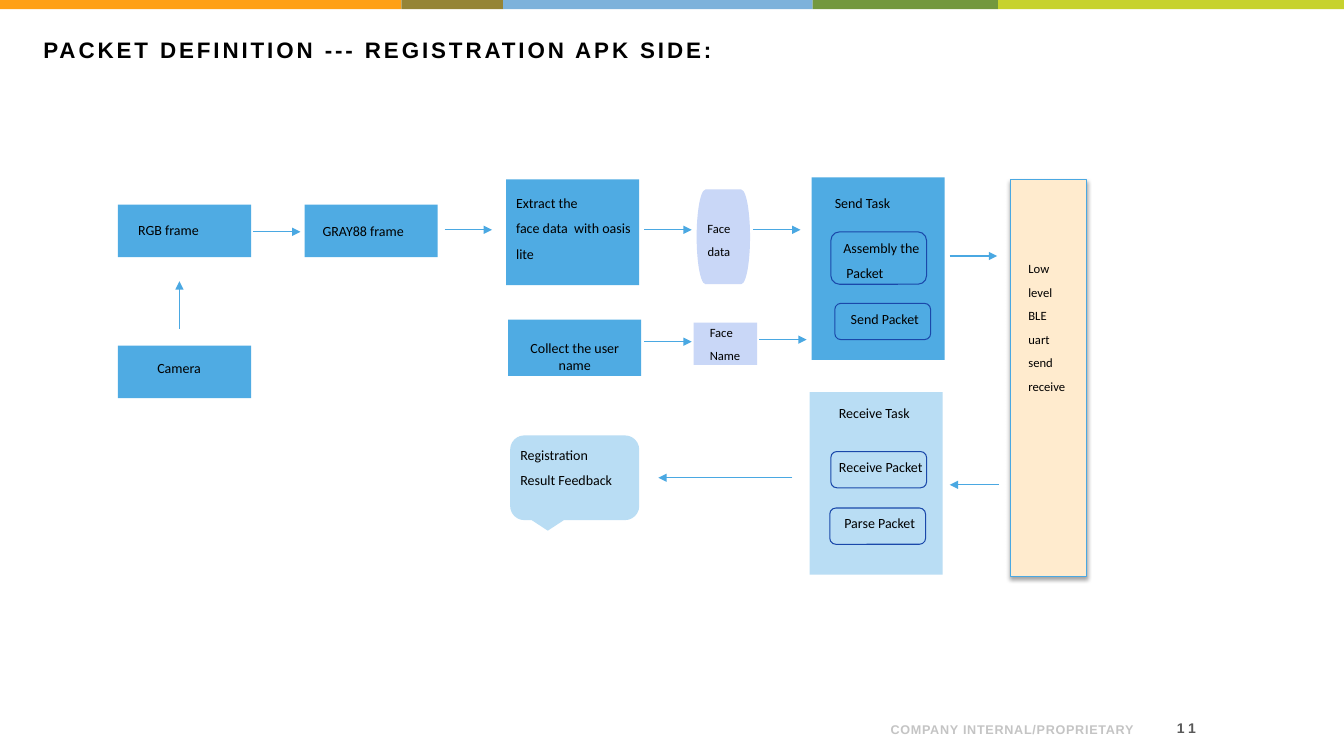
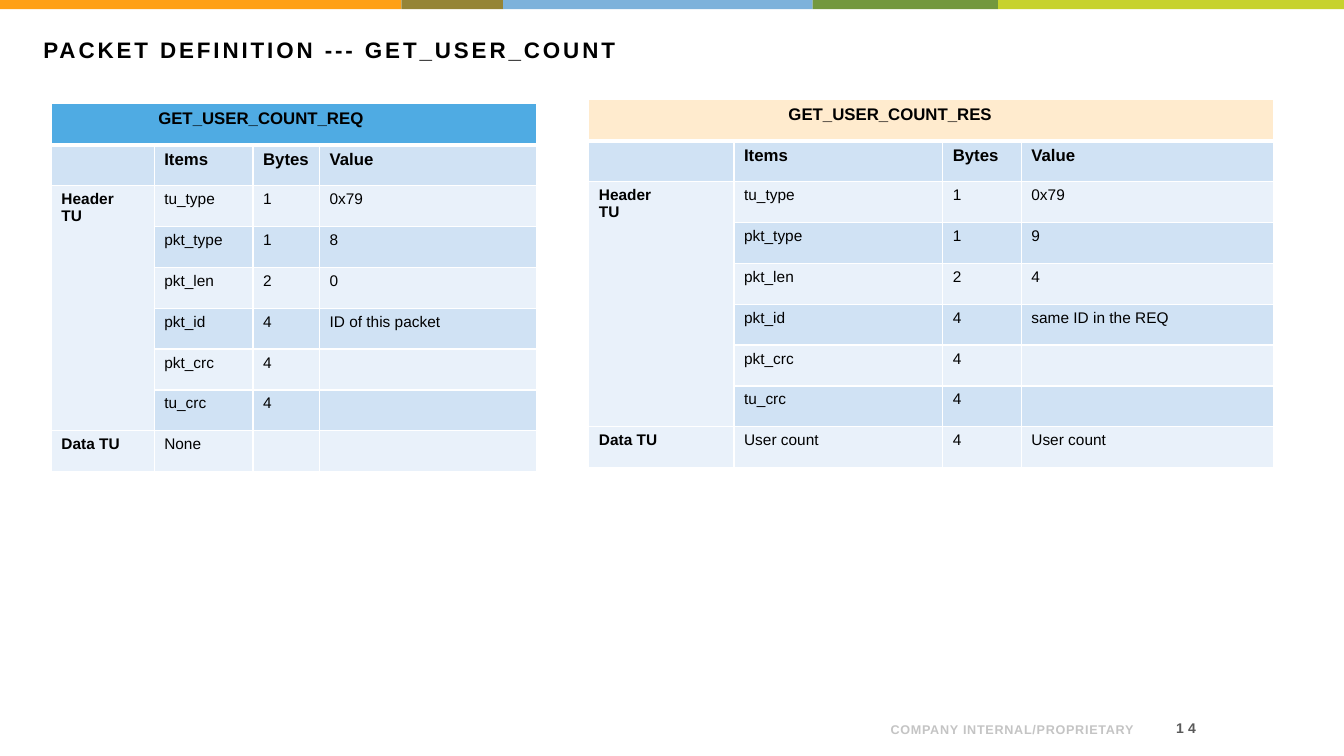
from lxml import etree
from pptx import Presentation
from pptx.dml.color import RGBColor
from pptx.enum.shapes import MSO_CONNECTOR, MSO_SHAPE
from pptx.enum.text import MSO_ANCHOR, MSO_AUTO_SIZE, PP_ALIGN
from pptx.oxml.ns import qn
from pptx.util import Emu, Inches, Pt

RECTANGLE = MSO_SHAPE.RECTANGLE
ROUNDED = MSO_SHAPE.ROUNDED_RECTANGLE
DRUM = MSO_SHAPE.FLOWCHART_DIRECT_ACCESS_STORAGE
CALLOUT = MSO_SHAPE.ROUNDED_RECTANGULAR_CALLOUT
STRAIGHT = MSO_CONNECTOR.STRAIGHT
LEFT, CENTER, RIGHT = PP_ALIGN.LEFT, PP_ALIGN.CENTER, PP_ALIGN.RIGHT
TOP, MIDDLE, BOTTOM = MSO_ANCHOR.TOP, MSO_ANCHOR.MIDDLE, MSO_ANCHOR.BOTTOM
NO_AUTOFIT = MSO_AUTO_SIZE.NONE

ROWS = 75
SLIDE_WIDTH, SLIDE_HEIGHT = Inches(13.33), Inches(7.5)
CELL = SLIDE_HEIGHT / ROWS
TITLE_ONLY = 5

BLUE, PALE_BLUE, LILAC, CREAM = "4FABE3", "B9DDF4", "C9D7F7", "FFEBCE"
ARROW, NAVY = "4AA8E2", "1A48AA"
BLACK, WHITE, GRAY, LIGHT_GRAY = "000000", "FFFFFF", "595959", "C4C4C4"
ROW_FILLS = ("E9F1FA", "D0E2F4")
BAND = (("FFA015", 39.8), ("958436", 10.1), ("7DB2DB", 30.7),
        ("73983E", 18.4), ("C7D22D", 34.4))

FLOW_NODES = (
    (RECTANGLE, (11.7, 20.3, 13.2, 5.2), BLUE, ["RGB frame"], (2, 1.7)),
    (RECTANGLE, (11.7, 34.3, 13.2, 5.2), BLUE, ["Camera"], (3.9, 1.4)),
    (RECTANGLE, (30.2, 20.3, 13.2, 5.2), BLUE, ["GRAY88 frame"], (1.8, 1.8)),
    (RECTANGLE, (50.2, 17.8, 13.2, 10.5), BLUE,
     ["Extract the", "face data  with oasis", "lite"], (1, 1.5)),
    (RECTANGLE, (80.5, 17.6, 13.2, 18.1), BLUE, ["Send Task"], (2.3, 1.7)),
    (RECTANGLE, (80.3, 38.9, 13.2, 18.1), PALE_BLUE, ["Receive Task"], (2.9, 1.2)),
    (CALLOUT, (50.6, 43.2, 12.8, 8.4), PALE_BLUE,
     ["Registration", "Result Feedback"], (0.6, 0.7)),
    (ROUNDED, (82.4, 23, 9.5, 5.2), None, ["Assembly the", " Packet"], (1, 0.5)),
)
PACKET_STEPS = ((82.8, 30.1, "Send Packet"), (82.4, 44.8, "Receive Packet"),
                (82.3, 50.4, "Parse Packet"))
ARROW_LENGTH = 4.7
RIGHT_ARROWS = ((25.1, 23), (44.1, 22.8), (63.9, 22.8), (74.7, 22.8),
                (63.9, 33.9), (75.3, 33.7), (94.2, 25.4))

FIELDS = ("tu_type", "pkt_type", "pkt_len", "pkt_id", "pkt_crc", "tu_crc")
FIELD_BYTES = ("1", "1", "2", "4", "4", "4")


def grid(cells):
    """Turn a number of grid cells into a length."""
    return Emu(round(cells * CELL))


def color(hex_string):
    """Turn a hex string into a colour."""
    return RGBColor.from_string(hex_string)


def write(frame, lines, size, font="Arial", text_color=BLACK, bold=False,
          align=LEFT, before=0, spacing=0):
    """Write one paragraph per line into a text frame."""
    for index, line in enumerate(lines):
        paragraph = frame.add_paragraph() if index else frame.paragraphs[0]
        paragraph.alignment = align
        paragraph.space_before = Pt(before)
        run = paragraph.add_run()
        run.text = line
        run.font.name, run.font.size, run.font.bold = font, Pt(size), bold
        run.font.color.rgb = color(text_color)
        if spacing:
            run._r.get_or_add_rPr().set("spc", str(round(spacing * 100)))


def add_block(slide, kind, box, fill=None, line=None):
    """Add a flat preset shape."""
    shape = slide.shapes.add_shape(kind, *map(grid, box))
    shape.shadow.inherit = False
    if fill:
        shape.fill.solid()
        shape.fill.fore_color.rgb = color(fill)
    else:
        shape.fill.background()
    if line:
        shape.line.color.rgb = color(line)
        shape.line.width = Pt(0.75)
    else:
        shape.line.fill.background()
    return shape


def add_node(slide, kind, box, fill, lines, inset, line=None, size=10,
             align=LEFT, before=6, right=0):
    """Add a diagram shape whose text starts at the inset."""
    shape = add_block(slide, kind, box, fill, line)
    frame = shape.text_frame
    frame.word_wrap = True
    frame.vertical_anchor = TOP
    frame.margin_left, frame.margin_top = map(grid, inset)
    frame.margin_right, frame.margin_bottom = grid(right), 0
    write(frame, lines, size, "Calibri", align=align, before=before)
    return shape


def add_label(slide, box, text, anchor, size, text_color, spacing):
    """Add a bold right-aligned footer text."""
    shape = slide.shapes.add_textbox(*map(grid, box))
    frame = shape.text_frame
    frame.word_wrap = True
    frame.vertical_anchor = anchor
    write(frame, [text], size, text_color=text_color, bold=True, align=RIGHT,
          spacing=spacing)
    return shape


def add_arrow(slide, start, end):
    """Add a straight arrow between two grid points."""
    connector = slide.shapes.add_connector(STRAIGHT, *map(grid, start + end))
    connector.line.color.rgb = color(ARROW)
    connector.line.width = Pt(0.75)
    properties = connector.element.spPr
    etree.SubElement(properties.find(qn("a:ln")), qn("a:tailEnd"), type="triangle")
    etree.SubElement(properties, qn("a:effectLst"))


def add_drop_shadow(shape):
    """Give a shape a soft shadow below it."""
    effects = shape.element.spPr.find(qn("a:effectLst"))
    shadow = etree.SubElement(effects, qn("a:outerShdw"), blurRad=str(Pt(3.1)),
                              dist=str(Pt(1.8)), dir="5400000", rotWithShape="0")
    tint = etree.SubElement(shadow, qn("a:srgbClr"), val=BLACK)
    etree.SubElement(tint, qn("a:alpha"), val="35000")


def prepare_layout(presentation):
    """Put the title place, colour band and footer on the layout."""
    layout = presentation.slide_layouts[TITLE_ONLY]
    for placeholder in list(layout.placeholders):
        if placeholder.placeholder_format.idx:
            placeholder.element.getparent().remove(placeholder.element)
            continue
        placeholder.left, placeholder.top = grid(3.3), grid(3.1)
        placeholder.width, placeholder.height = grid(125.3), grid(7.2)
        placeholder.text_frame.vertical_anchor = TOP
    slide = presentation.slides.add_slide(layout)
    parts, left = [], 0
    for fill, width in BAND:
        parts.append(add_block(slide, RECTANGLE, (left, 0, width, 0.9), fill))
        left += width
    parts.append(add_label(slide, (85.1, 70.2, 28.3, 3.4),
                           "COMPANY INTERNAL/PROPRIETARY", BOTTOM, 9, LIGHT_GRAY, 0.5))
    for number, part in enumerate(parts, start=20):
        part.element.nvSpPr.cNvPr.set("id", str(number))
        layout.element.cSld.spTree.append(part.element)
    return layout, slide


def add_heading(slide, title, number):
    """Fill in the title and the page number."""
    frame = slide.shapes.title.text_frame
    frame.auto_size = NO_AUTOFIT
    write(frame, [title], 16, bold=True, spacing=2.1)
    label = add_label(slide, (112.8, 70.7, 6.5, 3), number, MIDDLE, 10, GRAY, 3)
    frame = label.text_frame
    frame.margin_left = frame.margin_right = grid(0.7)
    frame.margin_top = frame.margin_bottom = grid(0.4)


def set_borders(cell, bottom):
    """Draw white cell borders with the given bottom width."""
    properties = cell._tc.get_or_add_tcPr()
    for index, side in enumerate(("lnL", "lnR", "lnT", "lnB")):
        width = bottom if side == "lnB" else 1
        border = etree.Element(qn("a:" + side), w=str(Pt(width)))
        fill = etree.SubElement(border, qn("a:solidFill"))
        etree.SubElement(fill, qn("a:srgbClr"), val=WHITE)
        properties.insert(index, border)


def add_packet_table(slide, origin, widths, name, name_inset, name_fill, values, data):
    """Add a table that defines the fields of one packet."""
    rows = [(name, "", "", ""), ("", "Items", "Bytes", "Value")]
    rows += [("" if index else "Header\nTU", *field)
             for index, field in enumerate(zip(FIELDS, FIELD_BYTES, values))]
    rows.append(("Data TU", *data))
    box = (*origin, sum(widths), 36.5)
    table = slide.shapes.add_table(len(rows), len(widths), *map(grid, box)).table
    table.first_row = table.horz_banding = False
    for column, width in zip(table.columns, widths):
        column.width = grid(width)
    for row_index, row in enumerate(rows):
        heading = row_index < 2
        for column_index, text in enumerate(row):
            cell = table.cell(row_index, column_index)
            cell.fill.solid()
            cell.fill.fore_color.rgb = color(
                ROW_FILLS[row_index % 2] if row_index else name_fill)
            set_borders(cell, 1 if row_index else 3)
            if text:
                write(cell.text_frame, text.split("\n"), 12 if heading else 11,
                      bold=heading or column_index == 0)
    table.cell(0, 0).margin_left = grid(name_inset)
    table.cell(0, 0).merge(table.cell(0, len(widths) - 1))
    table.cell(2, 0).merge(table.cell(1 + len(FIELDS), 0))


def build_registration(slide):
    """Draw the registration flow."""
    add_heading(slide, "PACKET DEFINITION --- REGISTRATION APK SIDE:", "11")
    for kind, box, fill, lines, inset in FLOW_NODES:
        add_node(slide, kind, box, fill, lines, inset, None if fill else NAVY)
    add_node(slide, RECTANGLE, (50.4, 31.7, 13.2, 5.6), BLUE,
             ["Collect the user name"], (2, 2), align=CENTER, before=0, right=2)
    add_node(slide, DRUM, (69.1, 18.8, 5.3, 9.4), LILAC, ["Face", "data"],
             (0, 3.1), size=9, align=CENTER)
    add_node(slide, RECTANGLE, (68.8, 32, 6.3, 4.2), LILAC, ["Face", "Name"],
             (1.6, 0.2), size=9)
    for left, top, text in PACKET_STEPS:
        add_node(slide, ROUNDED, (left, top, 9.5, 3.6), None, [text],
                 (0.4, 0.5), NAVY, align=CENTER)
    transport = add_node(slide, RECTANGLE, (100.2, 17.8, 7.6, 39.4), CREAM,
                         ["Low", "level", "BLE", "uart", "send", "receive"],
                         (1.8, 8.1), ARROW, size=9)
    add_drop_shadow(transport)
    for left, top in RIGHT_ARROWS:
        add_arrow(slide, (left, top), (left + ARROW_LENGTH, top))
    add_arrow(slide, (17.8, 32.6), (17.8, 27.9))
    add_arrow(slide, (99.1, 48.1), (94.2, 48.1))
    add_arrow(slide, (78.6, 47.4), (65.3, 47.4))


def build_user_count(slide):
    """Set out the request and response tables."""
    add_heading(slide, "PACKET DEFINITION --- GET_USER_COUNT", "14")
    add_packet_table(slide, (5.1, 10.3), (10.2, 9.8, 6.6, 21.5),
                     "GET_USER_COUNT_REQ", 10.6, BLUE,
                     ("0x79", "8", "0", "ID of this packet", "", ""),
                     ("None", "", ""))
    add_packet_table(slide, (58.4, 9.9), (14.4, 20.7, 7.8, 25),
                     "GET_USER_COUNT_RES", 19.8, CREAM,
                     ("0x79", "9", "4", "same ID in the REQ", "", ""),
                     ("User count", "4", "User count"))


def main():
    """Build and save the presentation."""
    presentation = Presentation()
    presentation.slide_width, presentation.slide_height = SLIDE_WIDTH, SLIDE_HEIGHT
    layout, first_slide = prepare_layout(presentation)
    build_registration(first_slide)
    build_user_count(presentation.slides.add_slide(layout))
    presentation.save("out.pptx")


if __name__ == "__main__":
    main()
